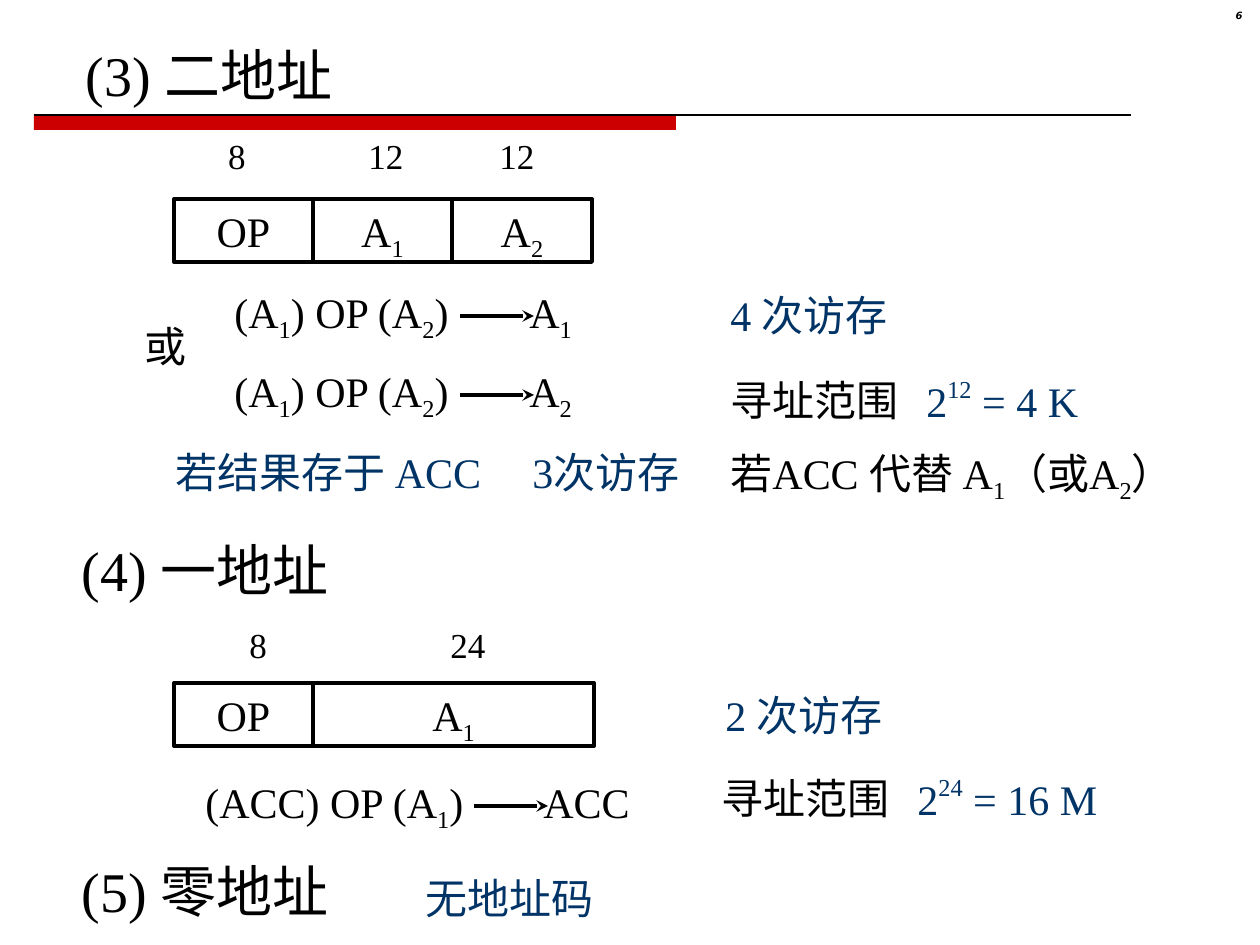
from lxml import etree
from pptx import Presentation
from pptx import util as u
from pptx.dml.color import RGBColor
from pptx.enum import shapes, text
from pptx.oxml.ns import qn

BLACK = RGBColor(0, 0, 0)
NAVY = RGBColor(0x00, 0x33, 0x66)
RED = RGBColor(0xCC, 0x00, 0x00)
SERIF = "Times New Roman"
SUB, SUP = -25000, 45000
LEFT, CENTER, RIGHT = text.PP_ALIGN.LEFT, text.PP_ALIGN.CENTER, text.PP_ALIGN.RIGHT


def px(n):
    return u.Emu(round(n * 914400 / 126))


def write(sp, runs, size=24, color=BLACK, align=LEFT, font=SERIF):
    tf = sp.text_frame
    tf.word_wrap = True
    tf.vertical_anchor = text.MSO_ANCHOR.TOP
    p = tf.paragraphs[0]
    p.alignment = align
    p.font.size, p.font.name = u.Pt(size), font
    p.font.color.rgb = color
    for run in [runs] if isinstance(runs, str) else runs:
        words, baseline = (run, 0) if isinstance(run, str) else run
        r = p.add_run()
        r.text = words
        if baseline:
            r._r.get_or_add_rPr().set("baseline", str(baseline))
    return p


def label(s, x, y, w, runs, h=63, **style):
    return write(s.shapes.add_textbox(px(x), px(y), px(w), px(h)), runs, **style)


def line(s, x1, x2, y, width, arrow=False):
    c = s.shapes.add_connector(shapes.MSO_CONNECTOR.STRAIGHT, px(x1), px(y), px(x2), px(y))
    c.line.color.rgb = BLACK
    c.line.width = u.Pt(width)
    if arrow:
        etree.SubElement(c.line._get_or_add_ln(), qn("a:tailEnd"), type="stealth")
    etree.SubElement(c._element.spPr, qn("a:effectLst"))


def heading(s, x, y, words):
    label(s, x, y, 390, words, h=80, size=32)


def bit_widths(s, x, y, widths):
    for center, bits in widths:
        label(s, x + center - 40, y, 80, bits, h=55, size=20, align=CENTER)


def instruction(s, x, y, fields):
    for w, runs in fields:
        sp = s.shapes.add_shape(shapes.MSO_SHAPE.RECTANGLE, px(x), px(y), px(w), px(63))
        sp.shadow.inherit = False
        sp.fill.background()
        sp.line.color.rgb = BLACK
        sp.line.width = u.Pt(2.25)
        write(sp, runs, align=CENTER)
        x += w


def transfer(s, x, y, source, arrow_x, target):
    label(s, x, y, arrow_x + 20, source, h=71)
    line(s, x + arrow_x, x + arrow_x + 74, y + 36, 2.25, arrow=True)
    label(s, x + arrow_x + 57, y, 130, target, h=71)


def address_range(s, x, y, power, size):
    label(s, x, y, 200, "寻址范围")
    label(s, x + 196, y, 240, ["2", (power, SUP), " = " + size], color=NAVY)


def header(s, x, y):
    bar = s.shapes.add_shape(shapes.MSO_SHAPE.RECTANGLE, px(x), px(y), px(642), px(15))
    bar.shadow.inherit = False
    bar.fill.solid()
    bar.fill.fore_color.rgb = RED
    bar.line.fill.background()
    line(s, x, x + 1097, y, 0.75)
    p = label(s, x + 1147, y - 109, 74, "6", h=29, size=5.7, align=RIGHT, font="DejaVu Sans")
    p.font.bold = p.font.italic = True
    p.line_spacing = 0.8


def two_address(s, x, y):
    heading(s, x, y, "(3) 二地址")
    bit_widths(s, x, y + 94, [(164, "8"), (313, "12"), (444, "12")])
    instruction(s, x + 101, y + 165,
                [(139, "OP"), (139, ["A", ("1", SUB)]), (140, ["A", ("2", SUB)])])
    for top, result in [(246, "1"), (325, "2")]:
        transfer(s, x + 149, y + top, ["(A", ("1", SUB), ") OP (A", ("2", SUB), ")"],
                 238, ["A", (result, SUB)])
    label(s, x + 59, y + 280, 67, "或")
    label(s, x + 645, y + 249, 380, "4 次访存", color=NAVY)
    address_range(s, x + 645, y + 334, "12", "4 K")
    label(s, x + 90, y + 406, 383, "若结果存于 ACC", color=NAVY)
    label(s, x + 447, y + 406, 252, "3次访存", color=NAVY)
    label(s, x + 645, y + 407, 495,
          ["若ACC 代替 A", ("1", SUB), "（或A", ("2", SUB), "）"], h=127)


def one_address(s, x, y):
    heading(s, x, y, "(4) 一地址")
    bit_widths(s, x, y + 88, [(189, "8"), (399, "24")])
    instruction(s, x + 105, y + 154, [(139, "OP"), (281, ["A", ("1", SUB)])])
    transfer(s, x + 124, y + 241, ["(ACC) OP (A", ("1", SUB), ")"], 281, "ACC")
    label(s, x + 644, y + 154, 220, "2 次访存", color=NAVY)
    address_range(s, x + 640, y + 237, "24", "16 M")


def zero_address(s, x, y):
    heading(s, x, y, "(5) 零地址")
    label(s, x + 344, y + 16, 220, "无地址码", color=NAVY)


def main():
    prs = Presentation()
    prs.slide_width, prs.slide_height = px(1260), px(945)
    s = prs.slides.add_slide(prs.slide_layouts[6])
    header(s, 34, 115)
    two_address(s, 73, 34)
    one_address(s, 69, 529)
    zero_address(s, 69, 850)
    prs.save("out.pptx")


if __name__ == "__main__":
    main()
